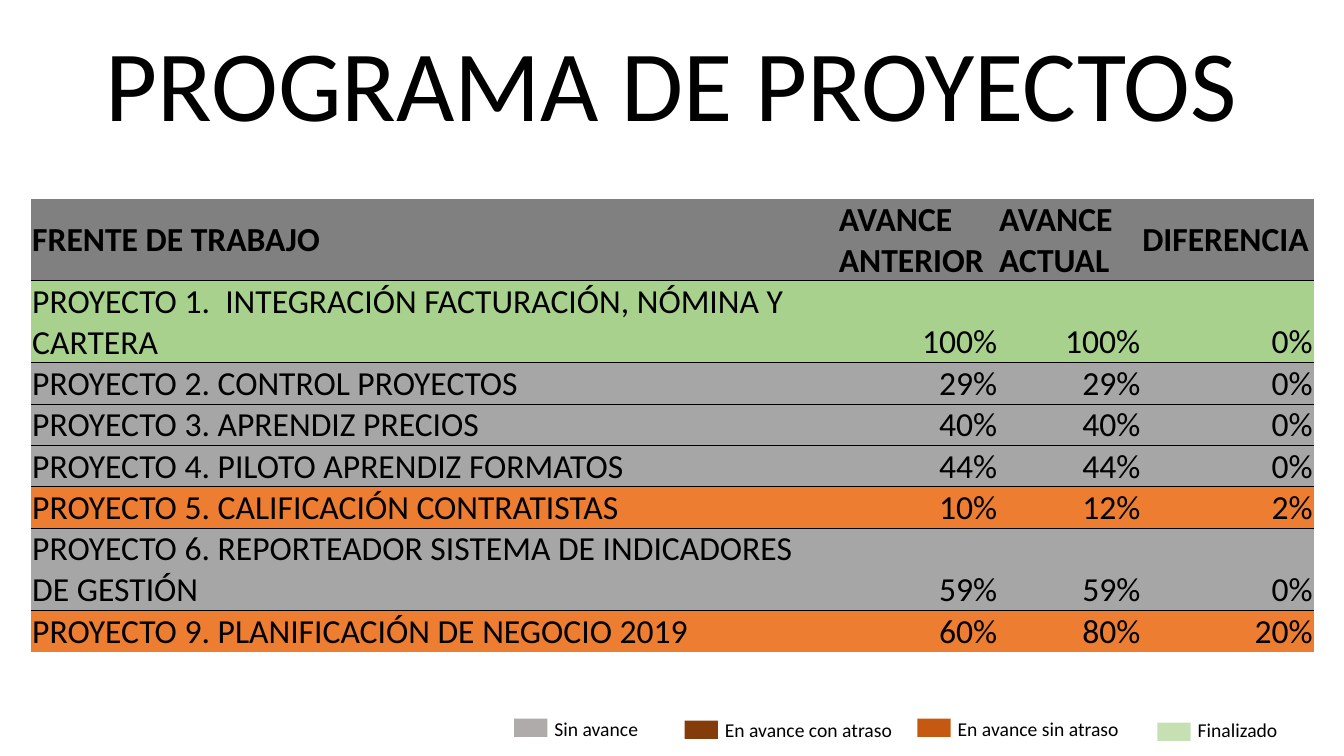
from dataclasses import dataclass

from lxml.etree import SubElement
from pptx import Presentation
from pptx.dml.color import RGBColor
from pptx.enum.shapes import MSO_SHAPE
from pptx.enum.text import MSO_ANCHOR, MSO_AUTO_SIZE, PP_ALIGN
from pptx.oxml.ns import qn
from pptx.util import Inches, Pt


@dataclass(frozen=True)
class Theme:
    font: str = "Calibri"
    title_size: int = 72
    table_size: int = 24
    legend_size: int = 14
    ink: str = "000000"
    header: str = "808080"
    finished: str = "A9D18E"
    idle: str = "A6A6A6"
    moving: str = "ED7D31"
    key_idle: str = "AFABAB"
    key_late: str = "843C0B"
    key_on_time: str = "C65911"
    key_finished: str = "C6E0B4"


THEME = Theme()

# Content
TITLE = "PROGRAMA DE PROYECTOS"
HEADINGS = ("FRENTE DE TRABAJO", "AVANCE ANTERIOR", "AVANCE ACTUAL", "DIFERENCIA")
# project, previous progress, current progress, difference, fill, text lines
PROJECTS = [
    ("PROYECTO 1.  INTEGRACIÓN FACTURACIÓN, NÓMINA Y CARTERA",
     "100%", "100%", "0%", THEME.finished, 2),
    ("PROYECTO 2. CONTROL PROYECTOS", "29%", "29%", "0%", THEME.idle, 1),
    ("PROYECTO 3. APRENDIZ PRECIOS", "40%", "40%", "0%", THEME.idle, 1),
    ("PROYECTO 4. PILOTO APRENDIZ FORMATOS", "44%", "44%", "0%", THEME.idle, 1),
    ("PROYECTO 5. CALIFICACIÓN CONTRATISTAS", "10%", "12%", "2%", THEME.moving, 1),
    ("PROYECTO 6. REPORTEADOR SISTEMA DE INDICADORES DE GESTIÓN",
     "59%", "59%", "0%", THEME.idle, 2),
    ("PROYECTO 9. PLANIFICACIÓN DE NEGOCIO 2019",
     "60%", "80%", "20%", THEME.moving, 1),
]
# label, swatch left, swatch top, label top, label width, fill
LEGEND = [
    ("Sin avance", 5.1, 7.13, 7.06, 1.93, THEME.key_idle),
    ("En avance con atraso", 6.79, 7.15, 7.07, 1.93, THEME.key_late),
    ("En avance sin atraso", 9.1, 7.13, 7.06, 1.93, THEME.key_on_time),
    ("Finalizado", 11.48, 7.17, 7.07, 1.02, THEME.key_finished),
]

# Layout, in inches
COLUMN_WIDTHS = (8, 1.59, 1.42, 1.71)
TABLE_LEFT, TABLE_TOP, TABLE_HEIGHT = 0.31, 1.97, 4.48
HEADER_LINES = 2
SWATCH_WIDTH, SWATCH_HEIGHT, LABEL_OFFSET, LABEL_HEIGHT = 0.33, 0.18, 0.3, 0.34
CELL_INSET = 0.01
NO_GRID_STYLE = "{2D5ABB26-0587-4C30-8999-92F81FD0307C}"


def paint(target, color):
    target.fill.solid()
    target.fill.fore_color.rgb = RGBColor.from_string(color)


def write(frame, text, size, align=PP_ALIGN.LEFT, bold=False):
    frame.text = text
    paragraph = frame.paragraphs[0]
    paragraph.alignment = align
    paragraph.font.name = THEME.font
    paragraph.font.size = Pt(size)
    paragraph.font.bold = bold
    paragraph.font.color.rgb = RGBColor.from_string(THEME.ink)


def rule(cell, edge):
    line = SubElement(cell._tc.get_or_add_tcPr(), qn(f"a:{edge}"), w=str(Pt(0.5)))
    fill = SubElement(line, qn("a:solidFill"))
    SubElement(fill, qn("a:srgbClr"), val=THEME.ink)


def add_title(slide):
    title = slide.shapes.title
    title.left, title.top = Inches(0.61), Inches(0.15)
    title.width, title.height = Inches(12.1), Inches(1.31)
    write(title.text_frame, TITLE, THEME.title_size, PP_ALIGN.CENTER)
    title.text_frame.auto_size = MSO_AUTO_SIZE.SHAPE_TO_FIT_TEXT


def add_projects(slide):
    rows = [(HEADINGS, THEME.header, HEADER_LINES)]
    rows += [(values, fill, lines) for *values, fill, lines in PROJECTS]
    line_height = TABLE_HEIGHT / sum(lines for _, _, lines in rows)
    frame = slide.shapes.add_table(
        len(rows), len(HEADINGS), Inches(TABLE_LEFT), Inches(TABLE_TOP),
        Inches(sum(COLUMN_WIDTHS)), Inches(TABLE_HEIGHT))
    table = frame.table
    table.horz_banding = False
    table._tbl.tblPr.find(qn("a:tableStyleId")).text = NO_GRID_STYLE

    for column, width in zip(table.columns, COLUMN_WIDTHS):
        column.width = Inches(width)
    for r, (values, fill, lines) in enumerate(rows):
        table.rows[r].height = Inches(lines * line_height)
        is_header = r == 0
        for c, value in enumerate(values):
            cell = table.cell(r, c)
            cell.margin_left = cell.margin_right = cell.margin_top = Inches(CELL_INSET)
            cell.margin_bottom = 0
            cell.vertical_anchor = MSO_ANCHOR.MIDDLE if is_header else MSO_ANCHOR.BOTTOM
            # Rules only between rows
            if not is_header:
                rule(cell, "lnT")
            if r < len(rows) - 1:
                rule(cell, "lnB")
            paint(cell, fill)
            align = PP_ALIGN.LEFT if is_header or c == 0 else PP_ALIGN.RIGHT
            write(cell.text_frame, value, THEME.table_size, align, is_header)


def add_legend(slide):
    for text, left, swatch_top, label_top, label_width, fill in LEGEND:
        swatch = slide.shapes.add_shape(
            MSO_SHAPE.RECTANGLE, Inches(left), Inches(swatch_top),
            Inches(SWATCH_WIDTH), Inches(SWATCH_HEIGHT))
        swatch.shadow.inherit = False
        swatch.line.fill.background()
        paint(swatch, fill)
        label = slide.shapes.add_textbox(
            Inches(left + LABEL_OFFSET), Inches(label_top),
            Inches(label_width), Inches(LABEL_HEIGHT))
        label.text_frame.word_wrap = True
        label.text_frame.auto_size = MSO_AUTO_SIZE.SHAPE_TO_FIT_TEXT
        write(label.text_frame, text, THEME.legend_size)


def main():
    deck = Presentation()
    deck.slide_width, deck.slide_height = Inches(13.33), Inches(7.5)
    slide = deck.slides.add_slide(deck.slide_layouts[5])
    add_title(slide)
    add_projects(slide)
    add_legend(slide)
    deck.save("out.pptx")


if __name__ == "__main__":
    main()
